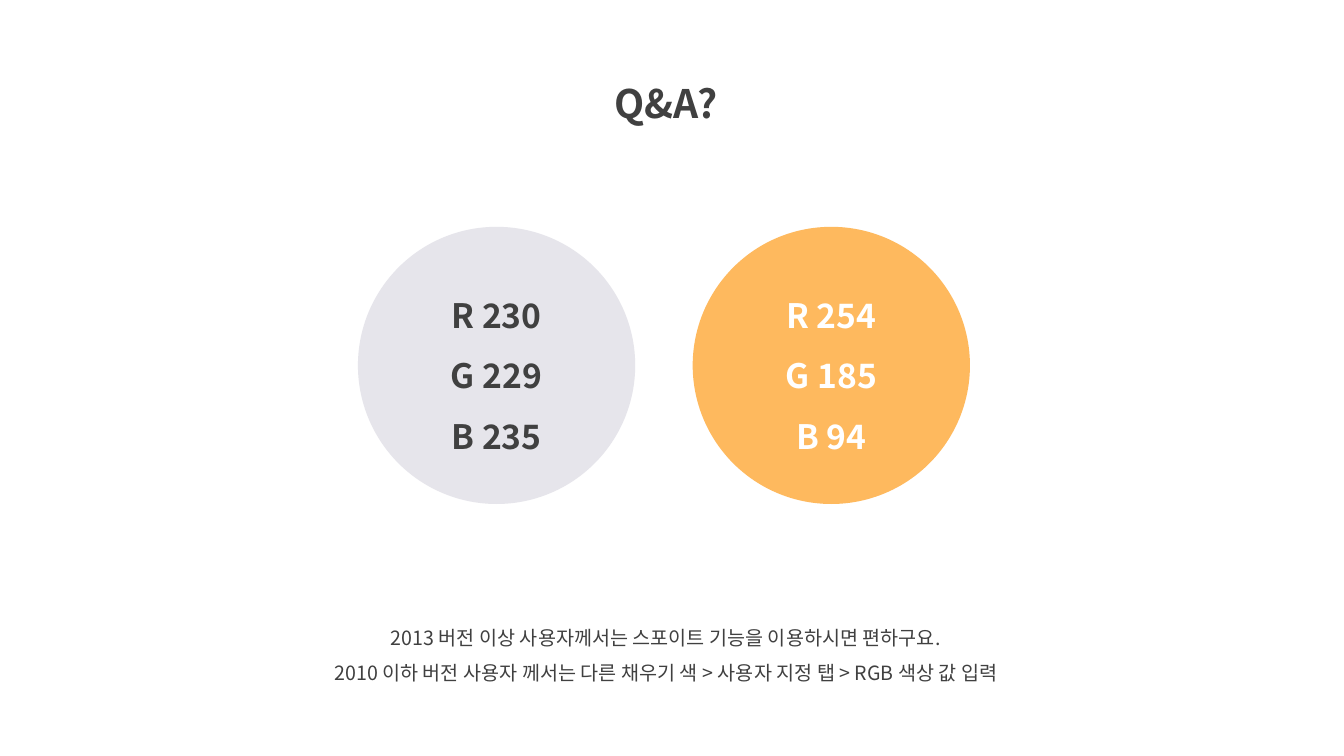
from lxml import etree
from pptx import Presentation
from pptx.dml.color import RGBColor
from pptx.enum import shapes, text
from pptx.oxml.ns import qn
from pptx.util import Inches, Pt

TITLE = "Q&A?"
SWATCHES = [
    {"rgb": (230, 229, 235), "ink": "dark"},
    {"rgb": (254, 185, 94), "ink": "light"},
]
NOTES = [
    "2013 버전 이상 사용자께서는 스포이트 기능을 이용하시면 편하구요.",
    "2010 이하 버전 사용자 께서는 다른 채우기 색 > 사용자 지정 탭 > RGB 색상 값 입력",
]

THEME = {
    "font": "Noto Sans CJK KR",
    "dark": RGBColor(0x40, 0x40, 0x40),
    "light": RGBColor(0xFF, 0xFF, 0xFF),
    "title_size": 28,
    "swatch_size": 24,
    "note_size": 14,
    "line_spacing": 1.5,
}

CIRCLE_LEFT, CIRCLE_TOP = 3.55, 2.25
CIRCLE_SIZE, CIRCLE_STEP = 2.75, 3.32


def write_text(shape, lines, size, ink="dark", bold=False,
               anchor=text.MSO_ANCHOR.TOP, auto_size=text.MSO_AUTO_SIZE.NONE):
    frame = shape.text_frame
    frame.text = "\n".join(lines)
    frame.word_wrap = True
    frame.auto_size = auto_size
    frame.vertical_anchor = anchor
    for paragraph in frame.paragraphs:
        paragraph.alignment = text.PP_ALIGN.CENTER
        paragraph.line_spacing = THEME["line_spacing"]
        for run in paragraph.runs:
            run.font.size = Pt(size)
            run.font.bold = bold
            run.font.color.rgb = THEME[ink]
            run.font.name = THEME["font"]
            east_asian = etree.SubElement(run.font._element, qn("a:ea"))
            east_asian.set("typeface", THEME["font"])


def add_title(slide):
    title = slide.shapes.title
    title.left, title.top = Inches(4.29), Inches(0.5)
    title.width, title.height = Inches(4.63), Inches(0.72)
    write_text(title, [TITLE], THEME["title_size"], bold=True,
               auto_size=text.MSO_AUTO_SIZE.SHAPE_TO_FIT_TEXT)


def add_swatch(slide, index, rgb, ink):
    """Draw a circle filled with the colour whose channels it lists."""
    circle = slide.shapes.add_shape(
        shapes.MSO_SHAPE.OVAL,
        Inches(CIRCLE_LEFT + index * CIRCLE_STEP), Inches(CIRCLE_TOP),
        Inches(CIRCLE_SIZE), Inches(CIRCLE_SIZE))
    circle.shadow.inherit = False
    circle.fill.solid()
    circle.fill.fore_color.rgb = RGBColor(*rgb)
    circle.line.fill.background()
    channels = [f"{name} {value}" for name, value in zip("RGB", rgb)]
    write_text(circle, channels, THEME["swatch_size"], ink=ink, bold=True,
               anchor=text.MSO_ANCHOR.MIDDLE)


def add_notes(slide):
    box = slide.shapes.add_textbox(
        Inches(2.61), Inches(6.04), Inches(7.99), Inches(0.81))
    write_text(box, NOTES, THEME["note_size"],
               auto_size=text.MSO_AUTO_SIZE.SHAPE_TO_FIT_TEXT)


def main():
    presentation = Presentation()
    presentation.slide_width = Inches(13.33)
    presentation.slide_height = Inches(7.5)
    slide = presentation.slides.add_slide(presentation.slide_layouts[5])
    add_title(slide)
    for index, swatch in enumerate(SWATCHES):
        add_swatch(slide, index, **swatch)
    add_notes(slide)
    presentation.save("out.pptx")


if __name__ == "__main__":
    main()
